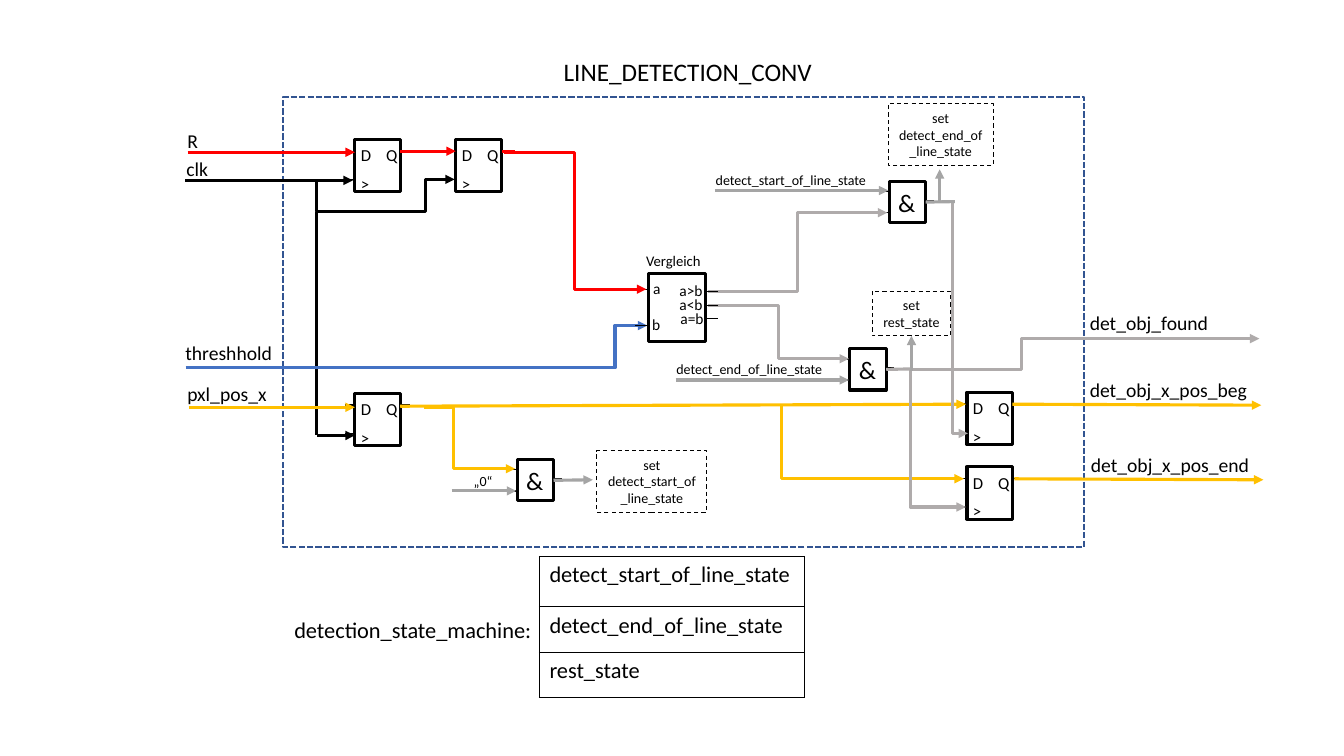
from lxml.etree import SubElement
from pptx import Presentation
from pptx.dml.color import RGBColor
from pptx.enum.dml import MSO_LINE
from pptx.enum.shapes import MSO_CONNECTOR, MSO_SHAPE
from pptx.enum.text import MSO_ANCHOR, MSO_AUTO_SIZE, PP_ALIGN
from pptx.oxml.ns import qn
from pptx.util import Emu, Pt

SCALE = 9144  # 100 px to the inch
BLACK, WHITE, RED, BLUE = "000000", "FFFFFF", "FF0000", "4472C4"
GOLD, GRAY, SILVER, NAVY = "FFC000", "A5A5A5", "AFABAB", "325491"


def px(*nums):
    return [Emu(round(num * SCALE)) for num in nums]


def paint(color):
    return RGBColor.from_string(color)


def write(frame, text, size=14, align=PP_ALIGN.LEFT, anchor=MSO_ANCHOR.TOP,
          pad=(10, 5, 10, 5)):
    frame.auto_size = MSO_AUTO_SIZE.NONE
    frame.word_wrap = False
    frame.vertical_anchor = anchor
    (frame.margin_left, frame.margin_top,
     frame.margin_right, frame.margin_bottom) = px(*pad)
    para = frame.paragraphs[0]
    para.text = text.replace("\n", "\v")
    para.alignment = align
    for run in para.runs:
        run.font.name = "Calibri"
        run.font.size = Pt(size)
        run.font.color.rgb = paint(BLACK)
    # Line breaks keep the height of their text
    for brk in para._p.findall(qn("a:br")):
        SubElement(brk, qn("a:rPr"), sz=str(round(size * 100)))


def label(shapes, box, text, **style):
    write(shapes.add_textbox(*px(*box)).text_frame, text, **style)


def block(shapes, box, fill=None, line=BLACK, width=2.25, dash=None):
    shape = shapes.add_shape(MSO_SHAPE.RECTANGLE, *px(*box))
    shape.shadow.inherit = False
    if fill:
        shape.fill.solid()
        shape.fill.fore_color.rgb = paint(fill)
    else:
        shape.fill.background()
    shape.line.color.rgb = paint(line)
    shape.line.width = Pt(width)
    if dash:
        shape.line.dash_style = dash
    return shape


def action(shapes, box, text):
    shape = block(shapes, box, width=0.75, dash=MSO_LINE.DASH)
    write(shape.text_frame, text, size=10, align=PP_ALIGN.CENTER,
          anchor=MSO_ANCHOR.MIDDLE)
    return shape


def wire(shapes, start, end, color=BLACK, width=2.25, bend=None, arrow=True):
    """Draw a straight wire, or an elbow whose upright part is at x = bend."""
    kind = MSO_CONNECTOR.STRAIGHT if bend is None else MSO_CONNECTOR.ELBOW
    line = shapes.add_connector(kind, *px(*start, *end))
    line.line.color.rgb = paint(color)
    line.line.width = Pt(width)
    props = line._element.spPr
    if bend is not None:
        share = round((bend - start[0]) / (end[0] - start[0]) * 100000)
        guides = props.find(qn("a:prstGeom")).get_or_add_avLst()
        SubElement(guides, qn("a:gd"), name="adj1", fmla=f"val {share}")
    if arrow:
        SubElement(props.find(qn("a:ln")), qn("a:tailEnd"), type="triangle")
    SubElement(props, qn("a:effectLst"))
    return line


def symbol(shapes, left, top, size, pins, tags, font, pad):
    """Group a box with its pins (x, y, length) and tags (x, y, w, h, text)."""
    parts = shapes.add_group_shape().shapes
    body = block(parts, (left, top, *size), fill=WHITE)
    for x, y, span in pins:
        wire(parts, (left + x, top + y), (left + x + span, top + y),
             width=1, arrow=False)
    for x, y, wide, high, text in tags:
        label(parts, (left + x, top + y, wide, high), text, size=font, pad=pad)
    return body


def flop(shapes, left, top):
    return symbol(shapes, left, top, (45, 52),
                  [(45, 12, 10), (-10, 12, 10), (-10, 40, 10)],
                  [(-3, 29, 22, 18, ">"), (-3, 1, 18, 18, "D"),
                   (22, 1, 18, 18, "Q")], 12, (9, 5, 0, 0))


def gate(shapes, left, top):
    return symbol(shapes, left, top, (36, 41),
                  [(36, 19, 8), (-8, 10, 8), (-8, 31, 8)],
                  [(-1, 1, 28, 31, "&")], 18, (10, 5, 0, 0))


def states(shapes, box, names, rows):
    table = shapes.add_table(len(names), 1, *px(*box)).table
    table.first_row = table.horz_banding = False
    table.columns[0].width = px(box[2])[0]
    for row, name, high in zip(table.rows, names, rows):
        row.height = px(high)[0]
        cell = row.cells[0]
        write(cell.text_frame, name, size=16)
        props = cell._tc.get_or_add_tcPr()
        for side in ("a:lnL", "a:lnR", "a:lnT", "a:lnB"):
            edge = SubElement(props, qn(side), w="12700")
            fill = SubElement(edge, qn("a:solidFill"))
            SubElement(fill, qn("a:srgbClr"), val=BLACK)
        cell.fill.background()


def main():
    deck = Presentation()
    deck.slide_width, deck.slide_height = px(1333, 750)
    slide = deck.slides.add_slide(deck.slide_layouts[5])
    shapes = slide.shapes

    # Title and frame
    title = shapes.title
    title.left, title.top, title.width, title.height = px(549, 51, 269, 40)
    write(title.text_frame, "LINE_DETECTION_CONV", size=18)
    block(shapes, (281, 96, 794, 447), line=NAVY, width=1.5,
          dash=MSO_LINE.SQUARE_DOT)

    # Flip-flops, gates and state actions
    for spot in ((352, 138), (452, 138), (959, 389), (352, 390), (959, 463)):
        flop(shapes, *spot)
    start_and, end_and, zero_and = [
        gate(shapes, *spot) for spot in ((882, 180), (843, 346), (513, 456))]
    action(shapes, (881, 103, 104, 61), "set\ndetect_end_of\n_line_state")
    rest = action(shapes, (865, 289, 78, 44), "set\nrest_state")
    action(shapes, (592, 447, 109, 61), "set\ndetect_start_of\n_line_state")

    # Signal names
    for box, text, size in (
            ((176, 123, 34, 34), "R", 14),
            ((175, 151, 42, 34), "clk", 14),
            ((174, 333, 107, 34), "threshhold", 14),
            ((176, 374, 100, 34), "pxl_pos_x", 14),
            ((1071, 304, 139, 34), "det_obj_found", 14),
            ((1071, 370, 178, 34), "det_obj_x_pos_beg", 14),
            ((1072, 444, 179, 34), "det_obj_x_pos_end", 14),
            ((631, 245, 76, 28), "Vergleich", 10.5),
            ((700, 165, 172, 27), "detect_start_of_line_state", 10),
            ((661, 353, 168, 27), "detect_end_of_line_state", 10),
            ((460, 464, 39, 27), "„0“", 10),
            ((282, 606, 258, 37), "detection_state_machine:", 16)):
        label(shapes, box, text, size=size)

    # Clock and threshold
    wire(shapes, (184, 179), (350, 179))
    wire(shapes, (314, 179), (384, 210), bend=314, arrow=False)
    wire(shapes, (383, 210), (451, 178), bend=422)
    wire(shapes, (314, 210), (314, 432), arrow=False)
    wire(shapes, (314, 432), (352, 432))
    wire(shapes, (184, 365), (642, 323), BLUE, bend=610)

    # Pixel position
    wire(shapes, (187, 404), (352, 404), GOLD)
    wire(shapes, (397, 403), (958, 401), GOLD)
    wire(shapes, (1004, 401), (1251, 402), GOLD)
    wire(shapes, (775, 401), (956, 475), GOLD, bend=775)
    wire(shapes, (1006, 475), (1253, 476), GOLD)
    wire(shapes, (421, 404), (511, 465), GOLD, bend=450)

    # Gate inputs
    wire(shapes, (709, 189), (881, 189), GRAY)
    wire(shapes, (670, 377), (842, 377), GRAY)
    wire(shapes, (448, 487), (512, 487), GRAY)
    wire(shapes, (702, 289), (880, 211), SILVER, bend=791)
    wire(shapes, (702, 303), (842, 356), SILVER, bend=772)

    # Gate outputs
    wire(shapes, (945, 200), (960, 430), SILVER, bend=945)
    wire(shapes, (903, 365), (958, 503), SILVER, bend=903)
    wire(shapes, (904, 367), (1249, 336), SILVER, bend=1013)
    wire(shapes, (932, 200), (932, 168), GRAY)
    wire(shapes, (904, 368), (904, 335), GRAY).end_connect(rest, 2)
    for source, end, color, arrow in ((start_and, (947, 200), GRAY, False),
                                      (end_and, (903, 366), SILVER, False),
                                      (zero_and, (588, 476), GRAY, True)):
        line = wire(shapes, (end[0] - 30, end[1]), end, color, arrow=arrow)
        line.begin_connect(source, 3)

    # Comparator
    symbol(shapes, 643, 271, (57, 68),
           [(57, 18, 12), (57, 32, 12), (57, 45, 12),
            (-13, 16, 13), (-13, 52, 13)],
           [(-5, 1, 37, 29, "a"), (-6, 37, 37, 29, "b"), (21, 3, 45, 29, "a>b"),
            (21, 17, 45, 29, "a<b"), (22, 31, 45, 29, "a=b")],
           11, (10, 5, 0, 0))

    # Red channel
    wire(shapes, (186, 151), (352, 151), RED)
    wire(shapes, (397, 150), (452, 150), RED)
    wire(shapes, (498, 150), (511, 150), RED, arrow=False)
    wire(shapes, (500, 151), (641, 287), RED, bend=570)

    # State list
    states(shapes, (535, 552, 263, 140),
           ("detect_start_of_line_state", "detect_end_of_line_state",
            "rest_state"), (50, 45, 45))

    deck.save("out.pptx")


if __name__ == "__main__":
    main()
